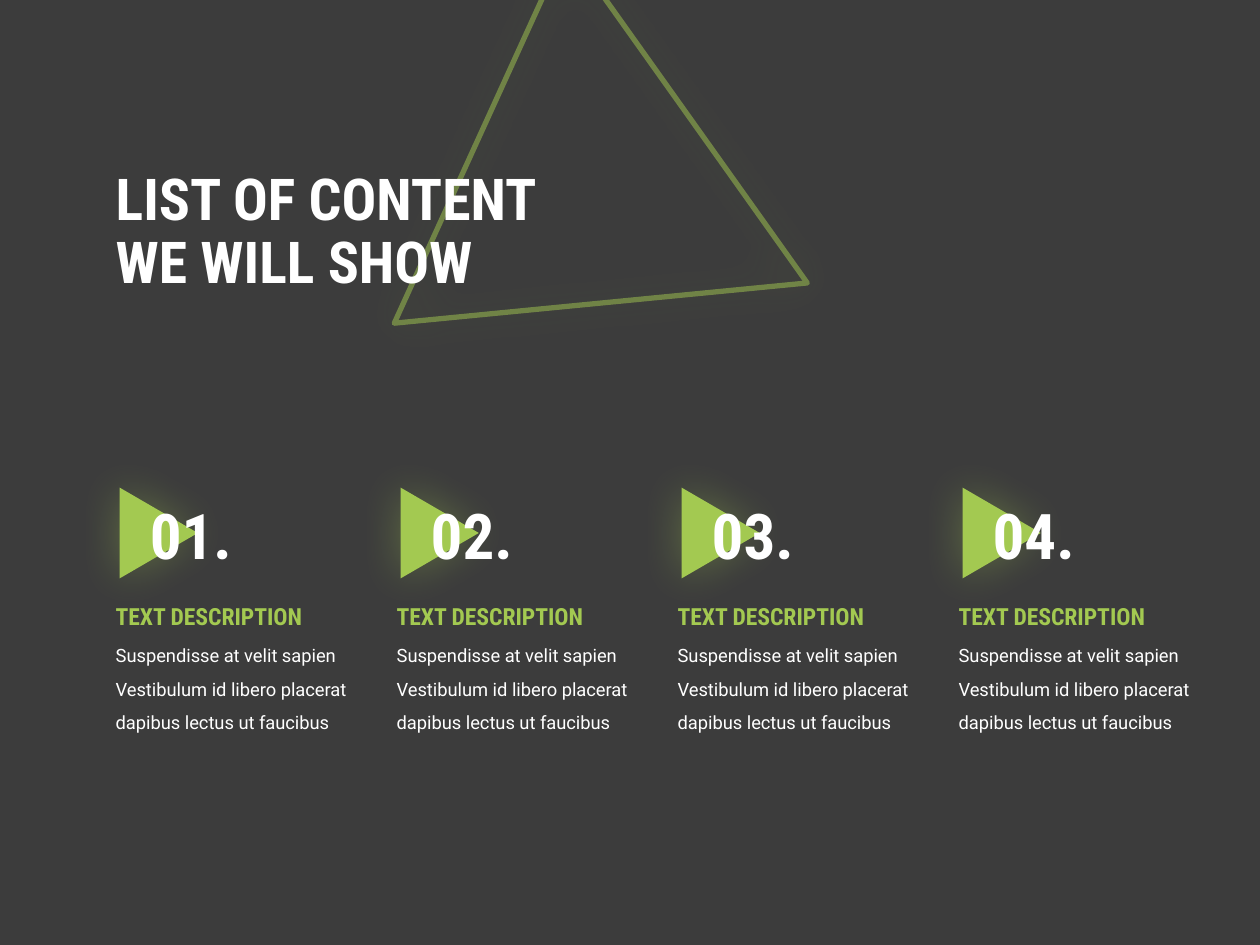
from lxml import etree
from pptx import Presentation
from pptx import util as u
from pptx.dml.color import RGBColor
from pptx.enum import shapes, text
from pptx.oxml.ns import qn

BG = RGBColor(0x3C, 0x3C, 0x3C)
GREEN = RGBColor(0xA3, 0xC9, 0x51)
WHITE = RGBColor(0xFF, 0xFF, 0xFF)


def add_triangle(x, y, w, h, rotation):
    """Green triangle with a soft glow-like shadow."""
    sp = s.shapes.add_shape(shapes.MSO_SHAPE.ISOSCELES_TRIANGLE,
                            u.Inches(x), u.Inches(y), u.Inches(w), u.Inches(h))
    sp.rotation = rotation
    sp.shadow.inherit = False
    effects = sp._element.spPr.find(qn("a:effectLst"))
    shadow = etree.SubElement(effects, qn("a:outerShdw"), blurRad=str(u.Pt(25)),
                              dist="0", dir="0", algn="ctr", rotWithShape="0")
    color = etree.SubElement(shadow, qn("a:srgbClr"), val=str(GREEN))
    etree.SubElement(color, qn("a:alpha"), val="35000")
    return sp


def add_text(x, y, w, h, lines, size, font, color, bold=True, spacing=1.0,
             anchor=text.MSO_ANCHOR.TOP):
    tf = s.shapes.add_textbox(u.Inches(x), u.Inches(y), u.Inches(w), u.Inches(h)).text_frame
    tf.word_wrap = True
    tf.vertical_anchor = anchor
    p = tf.paragraphs[0]
    p.line_spacing = spacing
    for i, line in enumerate(lines):
        if i:
            p.add_line_break()
        r = p.add_run()
        r.text = line
        r.font.size = u.Pt(size)
        r.font.name = font
        r.font.bold = bold
        r.font.color.rgb = color


prs = Presentation()
prs.slide_width, prs.slide_height = u.Inches(10), u.Inches(7.5)
s = prs.slides.add_slide(prs.slide_layouts[6])
s.background.fill.solid()
s.background.fill.fore_color.rgb = BG

# Large outlined triangle, half transparent
outline = add_triangle(3.46, 0.23, 3.3, 2.85, 114.5)
outline.fill.background()
outline.line.color.rgb = GREEN
outline.line.width = u.Pt(3)
line_color = outline.line._ln.find(".//" + qn("a:srgbClr"))
etree.SubElement(line_color, qn("a:alpha"), val="50000")

# Title
add_text(0.82, 1.06, 4.22, 1.58, ["LIST OF CONTENT", "WE WILL SHOW"], 33,
         "Roboto Condensed", WHITE, spacing=0.9, anchor=text.MSO_ANCHOR.MIDDLE)

# Four numbered columns
for i in range(4):
    x = 0.82 + i * 2.23
    marker = add_triangle(x + 0.08, 3.92, 0.72, 0.62, 90)
    marker.fill.solid()
    marker.fill.fore_color.rgb = GREEN
    marker.line.fill.background()
    add_text(x + 0.27, 3.89, 0.99, 0.71, [f"{i + 1:02d}."], 36, "Roboto Condensed", WHITE)
    add_text(x, 4.98, 2.11, 0.87,
             ["Suspendisse at velit sapien Vestibulum id libero placerat "
              "dapibus lectus ut faucibus"],
             10.5, "Roboto", WHITE, bold=False, spacing=1.5)
    add_text(x, 4.73, 1.84, 0.33, ["TEXT DESCRIPTION"], 13.5, "Roboto Condensed", GREEN)

prs.save("out.pptx")
